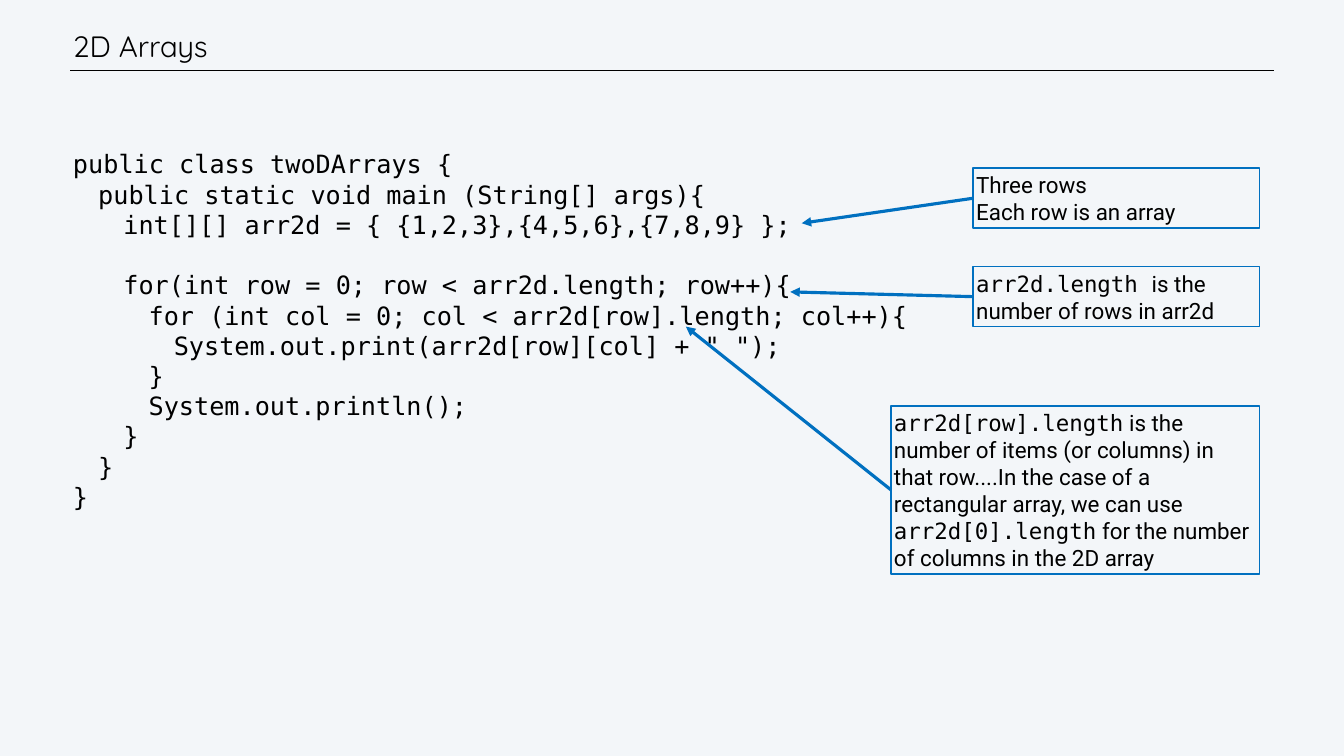
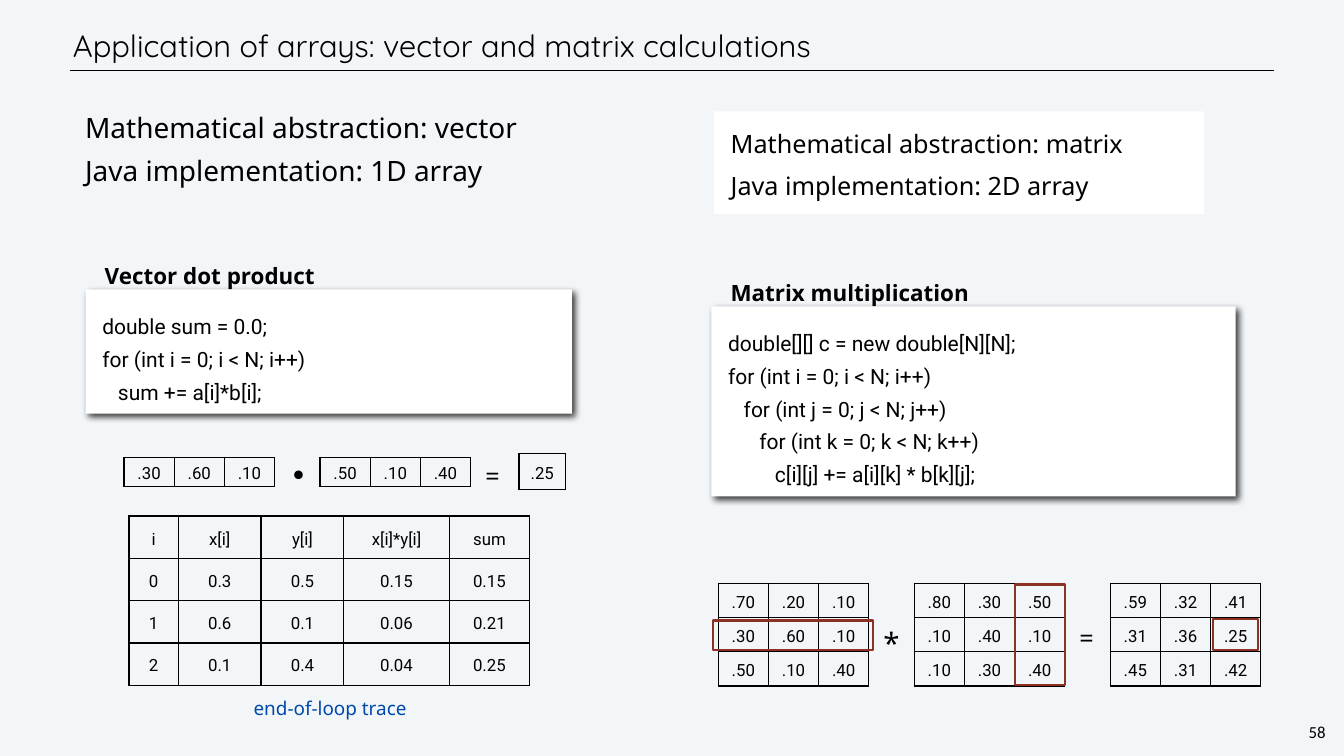
from lxml.etree import SubElement
from pptx import Presentation
from pptx.dml.color import RGBColor
from pptx.enum.shapes import MSO_CONNECTOR, MSO_SHAPE
from pptx.enum.text import MSO_ANCHOR as Anchor, PP_ALIGN as Align
from pptx.oxml.ns import qn
from pptx.util import Cm, Pt

BLACK = RGBColor(0x00, 0x00, 0x00)
WHITE = RGBColor(0xFF, 0xFF, 0xFF)
PAPER = RGBColor(0xF3, 0xF6, 0xF9)
BLUE = RGBColor(0x00, 0x70, 0xC0)
CAPTION_BLUE = RGBColor(0x00, 0x48, 0xAA)
BRICK = RGBColor(0x8D, 0x31, 0x24)
TITLE_FONT, BODY_FONT, LABEL_FONT = "Quicksand", "Roboto", "Noto Sans"
MONO_FONT, NUMBER_FONT = "DejaVu Sans Mono", "Calibri"

# ---- Content: slide 1 (all lengths in centimetres) ----
# Each code line: indent level, text, blank line above
PROGRAM = [
    (0, "public class twoDArrays {", False),
    (1, "public static void main (String[] args){", False),
    (2, "int[][] arr2d = { {1,2,3},{4,5,6},{7,8,9} };", False),
    (2, "for(int row = 0; row < arr2d.length; row++){", True),
    (3, "for (int col = 0; col < arr2d[row].length; col++){", False),
    (4, 'System.out.print(arr2d[row][col] + " ");', False),
    (3, "}", False),
    (3, "System.out.println();", False),
    (2, "}", False),
    (1, "}", False),
    (0, "}", False),
]
CODE_INDENT, CODE_LINE = 1.27, 43.2

# Each callout: place, arrow target, paragraphs of (text, font) spans
CALLOUTS = [
    ((49.05, 8.48, 14.43, 3.02), (40.41, 11.25),
     [[("Three rows", BODY_FONT)], [("Each row is an array", BODY_FONT)]]),
    ((49.05, 13.44, 14.43, 3.02), (39.83, 14.71),
     [[("arr2d.length ", MONO_FONT),
       ("is the number of rows in arr2d", BODY_FONT)]]),
    ((44.91, 20.45, 18.57, 8.48), (34.57, 16.46),
     [[("arr2d[row].length", MONO_FONT),
       (" is the number of items (or columns) in that row....In the case of "
        "a rectangular array, we can use ", BODY_FONT),
       ("arr2d[0].length", MONO_FONT),
       (" for the number of columns in the 2D array", BODY_FONT)]]),
]

# ---- Content: slide 2 ----
VECTOR_INTRO = ["Mathematical abstraction: vector", "Java implementation: 1D array"]
MATRIX_INTRO = ["Mathematical abstraction: matrix", "Java implementation: 2D array"]
SNIPPETS = [
    ("Vector dot product", (4.32, 14.58, 24.51, 6.27), [
        "double sum = 0.0;",
        "for (int i = 0; i < N; i++)",
        "   sum += a[i]*b[i];",
    ]),
    ("Matrix multiplication", (35.86, 15.44, 26.42, 9.58), [
        "double[][] c = new double[N][N];",
        "for (int i = 0; i < N; i++)",
        "   for (int j = 0; j < N; j++)",
        "      for (int k = 0; k < N; k++)",
        "         c[i][j] += a[i][k] * b[k][j];",
    ]),
]
VECTORS = [[[".30", ".60", ".10"]], [[".50", ".10", ".40"]]]
DOT_PRODUCT = [[".25"]]
MATRICES = [
    [[".70", ".20", ".10"], [".30", ".60", ".10"], [".50", ".10", ".40"]],
    [[".80", ".30", ".50"], [".10", ".40", ".10"], [".10", ".30", ".40"]],
    [[".59", ".32", ".41"], [".31", ".36", ".25"], [".45", ".31", ".42"]],
]
GRID_STEP, GRID_COLUMN = 9.88, 2.53
# Each operator: symbol, place, size, line height
OPERATORS = [
    ("∙", (14.43, 22.78, 1.24, 2.06), 42, 50),
    ("=", (24.31, 23.06, 1.12, 1.8), 36, 43),
    ("*", (44.37, 31.39, 1.04, 2.06), 42, 50),
    ("=", (54.25, 31.22, 1.12, 1.8), 36, 43),
]
HIGHLIGHTS = [(35.92, 31.27, 8.1, 1.47), (51.16, 29.46, 2.51, 5.08),
              (61.14, 31.19, 2.26, 1.57)]
TRACE = [
    ["i", "x[i]", "y[i]", "x[i]*y[i]", "sum"],
    ["0", "0.3", "0.5", "0.15", "0.15"],
    ["1", "0.6", "0.1", "0.06", "0.21"],
    ["2", "0.1", "0.4", "0.04", "0.25"],
]
TRACE_COLUMNS = [2.49, 4.17, 4.17, 5.31, 4.06]


# ---- Building blocks ----
def cms(values):
    return [Cm(value) for value in values]


def add_span(para, text, font, size, color=BLACK, bold=False):
    span = para.add_run()
    span.text = text
    span.font.name, span.font.size, span.font.bold = font, Pt(size), bold
    span.font.color.rgb = color


def write(shape, paragraphs, size, inset=0.15, anchor=Anchor.TOP,
          align=Align.LEFT, spacing=None, gap=0, wrap=True,
          color=BLACK, bold=False):
    """Fill a shape with paragraphs, each a list of (text, font) spans."""
    frame = shape.text_frame
    frame.word_wrap, frame.vertical_anchor = wrap, anchor
    frame.margin_left = frame.margin_right = Cm(inset)
    frame.margin_top = frame.margin_bottom = Cm(inset)
    for index, spans in enumerate(paragraphs):
        para = frame.add_paragraph() if index else frame.paragraphs[0]
        para.alignment = align
        if spacing:
            para.line_spacing = spacing
        if index and gap:
            para.space_before = Pt(gap)
        for text, font in spans:
            add_span(para, text, font, size, color, bold)
    return frame


def add_text(page, place, lines, font, size, **style):
    box = page.shapes.add_textbox(*cms(place))
    return write(box, [[(line, font)] for line in lines], size, **style)


def add_box(page, place, fill=None, line=None, width=0):
    box = page.shapes.add_shape(MSO_SHAPE.RECTANGLE, *cms(place))
    box.shadow.inherit = False
    if fill is None:
        box.fill.background()
    else:
        box.fill.solid()
        box.fill.fore_color.rgb = fill
    if line is None:
        box.line.fill.background()
    else:
        box.line.color.rgb = line
        box.line.width = Pt(width)
    return box


def add_line(page, start, end, color, width, arrow=False):
    line = page.shapes.add_connector(MSO_CONNECTOR.STRAIGHT, *cms(start + end))
    line.line.color.rgb = color
    line.line.width = Pt(width)
    if arrow:
        SubElement(line.line._get_or_add_ln(), qn("a:tailEnd"), type="triangle")
    SubElement(line._element.spPr, qn("a:effectLst"))


def add_drop_shadow(box):
    effects = box._element.spPr.find(qn("a:effectLst"))
    shadow = SubElement(effects, qn("a:outerShdw"), blurRad=str(Pt(10)),
                        dist=str(Pt(6)), dir="2700000", algn="ctr",
                        rotWithShape="0")
    color = SubElement(shadow, qn("a:srgbClr"), val=str(BLACK))
    SubElement(color, qn("a:alpha"), val="75000")


def add_borders(cell):
    properties = cell._tc.get_or_add_tcPr()
    for side in ("lnL", "lnR", "lnT", "lnB"):
        edge = SubElement(properties, qn(f"a:{side}"), w=str(Pt(2)))
        fill = SubElement(edge, qn("a:solidFill"))
        SubElement(fill, qn("a:srgbClr"), val=str(BLACK))


def add_grid(page, left, top, rows, columns, row_height):
    place = (left, top, sum(columns), row_height * len(rows))
    table = page.shapes.add_table(len(rows), len(columns), *cms(place)).table
    table.first_row = table.horz_banding = False
    for column, width in zip(table.columns, columns):
        column.width = Cm(width)
    for row, values in zip(table.rows, rows):
        row.height = Cm(row_height)
        for cell, value in zip(row.cells, values):
            add_borders(cell)
            cell.fill.background()
            cell.vertical_anchor = Anchor.MIDDLE
            cell.margin_left = cell.margin_right = Cm(0.1)
            cell.margin_top = cell.margin_bottom = Cm(0.1)
            para = cell.text_frame.paragraphs[0]
            para.alignment = Align.CENTER
            para.line_spacing = Pt(34)
            add_span(para, value, BODY_FONT, 24)


def add_page(deck, title, title_size):
    page = deck.slides.add_slide(deck.slide_layouts[6])
    page.background.fill.solid()
    page.background.fill.fore_color.rgb = PAPER
    add_line(page, (3.53, 3.56), (64.21, 3.56), BLACK, 1)
    add_text(page, (3.53, 1.07, 57.45, 2.51), [title], TITLE_FONT, title_size,
             anchor=Anchor.MIDDLE, spacing=Pt(50))
    return page


# ---- Slides ----
def build_array_page(deck):
    page = add_page(deck, "2D Arrays", 42)
    code = add_text(page, (3.53, 7.34, 44.09, 21), [line[1] for line in PROGRAM],
                    MONO_FONT, 36, spacing=Pt(CODE_LINE))
    for para, (level, _, blank_above) in zip(code.paragraphs, PROGRAM):
        para._p.get_or_add_pPr().set("marL", str(Cm(level * CODE_INDENT)))
        if blank_above:
            para.space_before = Pt(CODE_LINE)

    for place, target, paragraphs in CALLOUTS:
        callout = add_box(page, place, line=BLUE, width=2.25)
        write(callout, paragraphs, 32, anchor=Anchor.MIDDLE)
        left, top, _, height = place
        add_line(page, (left, top + height / 2), target, BLUE, 4.5, arrow=True)


def build_calculation_page(deck):
    page = add_page(deck, "Application of arrays: vector and matrix calculations", 44)
    add_text(page, (65.84, 36.3, 1.09, 1.19), ["58"], NUMBER_FONT, 24,
             inset=0.1, align=Align.CENTER, spacing=Pt(28), wrap=False)

    # Introductions
    add_text(page, (4.14, 5.61, 24.69, 5.18), VECTOR_INTRO, LABEL_FONT, 40,
             spacing=Pt(43), gap=18)
    panel = add_box(page, (35.99, 5.61, 24.69, 5.18), fill=WHITE)
    write(panel, [[(line, LABEL_FONT)] for line in MATRIX_INTRO], 36,
          inset=0.84, spacing=Pt(43), gap=18)

    # Code panels with headings
    for heading, place, lines in SNIPPETS:
        left, top = place[:2]
        add_text(page, (left + 0.12, top - 2.82, 15.34, 2.87), [heading],
                 LABEL_FONT, 32, inset=0.84, spacing=Pt(55), bold=True)
        panel = add_box(page, place, fill=WHITE)
        add_drop_shadow(panel)
        write(panel, [[(line, BODY_FONT)] for line in lines], 30,
              inset=0.84, spacing=1.3)

    # Dot product and matrix product
    for index, vector in enumerate(VECTORS):
        add_grid(page, 6.25 + index * GRID_STEP, 23.06, vector,
                 [GRID_COLUMN] * 3, 1.47)
    add_grid(page, 26.16, 22.86, DOT_PRODUCT, [2.34], 1.8)
    for index, matrix in enumerate(MATRICES):
        add_grid(page, 36.2 + index * GRID_STEP, 29.41, matrix,
                 [GRID_COLUMN] * 3, 1.72)
    for symbol, place, size, line_height in OPERATORS:
        add_text(page, place, [symbol], LABEL_FONT, size,
                 spacing=Pt(line_height), wrap=False)
    for place in HIGHLIGHTS:
        add_box(page, place, line=BRICK, width=3)

    # Loop trace
    add_grid(page, 6.5, 26.01, TRACE, TRACE_COLUMNS, 2.13)
    add_text(page, (11.02, 34.57, 11.23, 1.98), ["end-of-loop trace"],
             LABEL_FONT, 27, inset=0.43, align=Align.CENTER, spacing=1.1,
             color=CAPTION_BLUE)


def main():
    deck = Presentation()
    deck.slide_width, deck.slide_height = Cm(67.74), Cm(38.1)
    build_array_page(deck)
    build_calculation_page(deck)
    deck.save("out.pptx")


if __name__ == "__main__":
    main()
